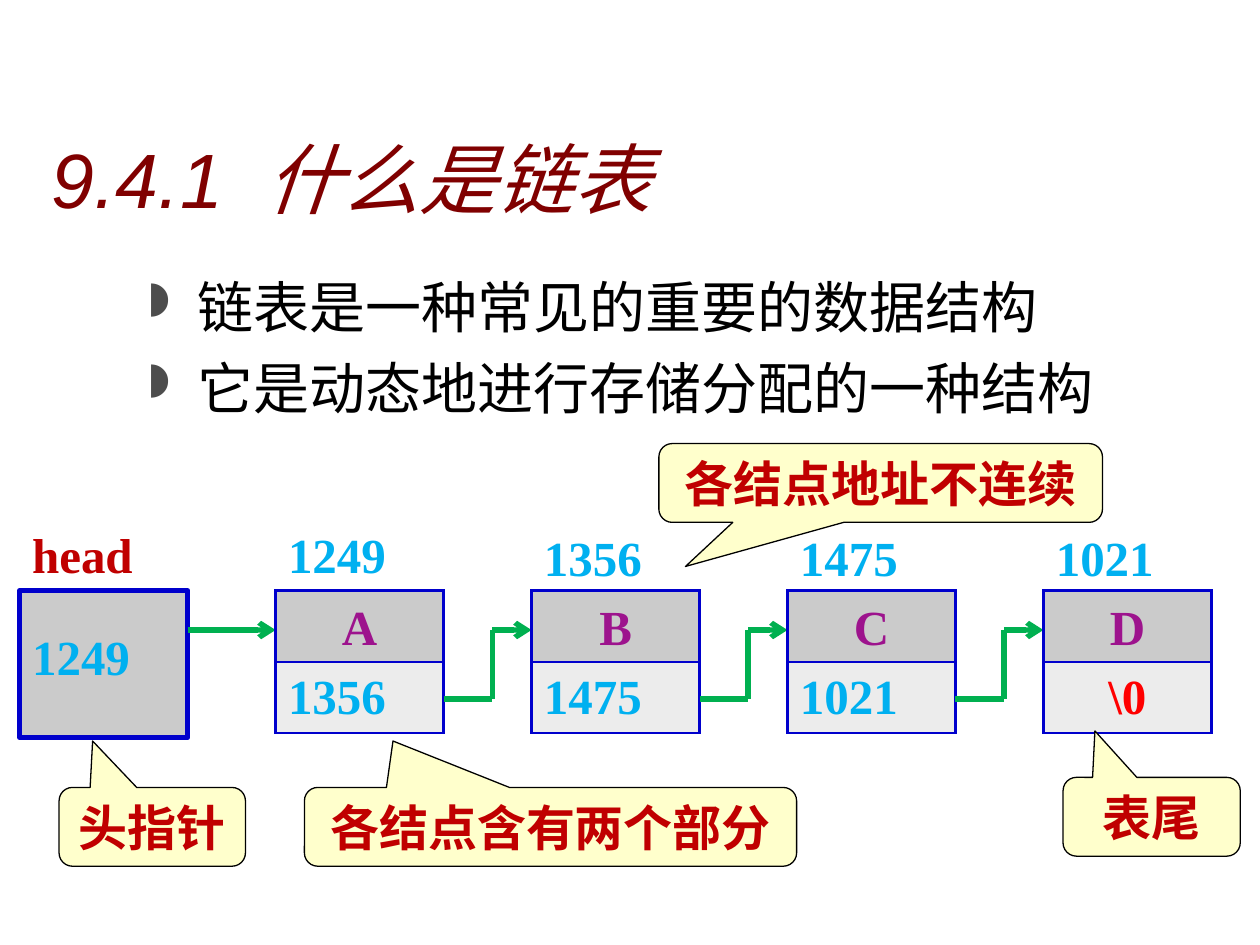
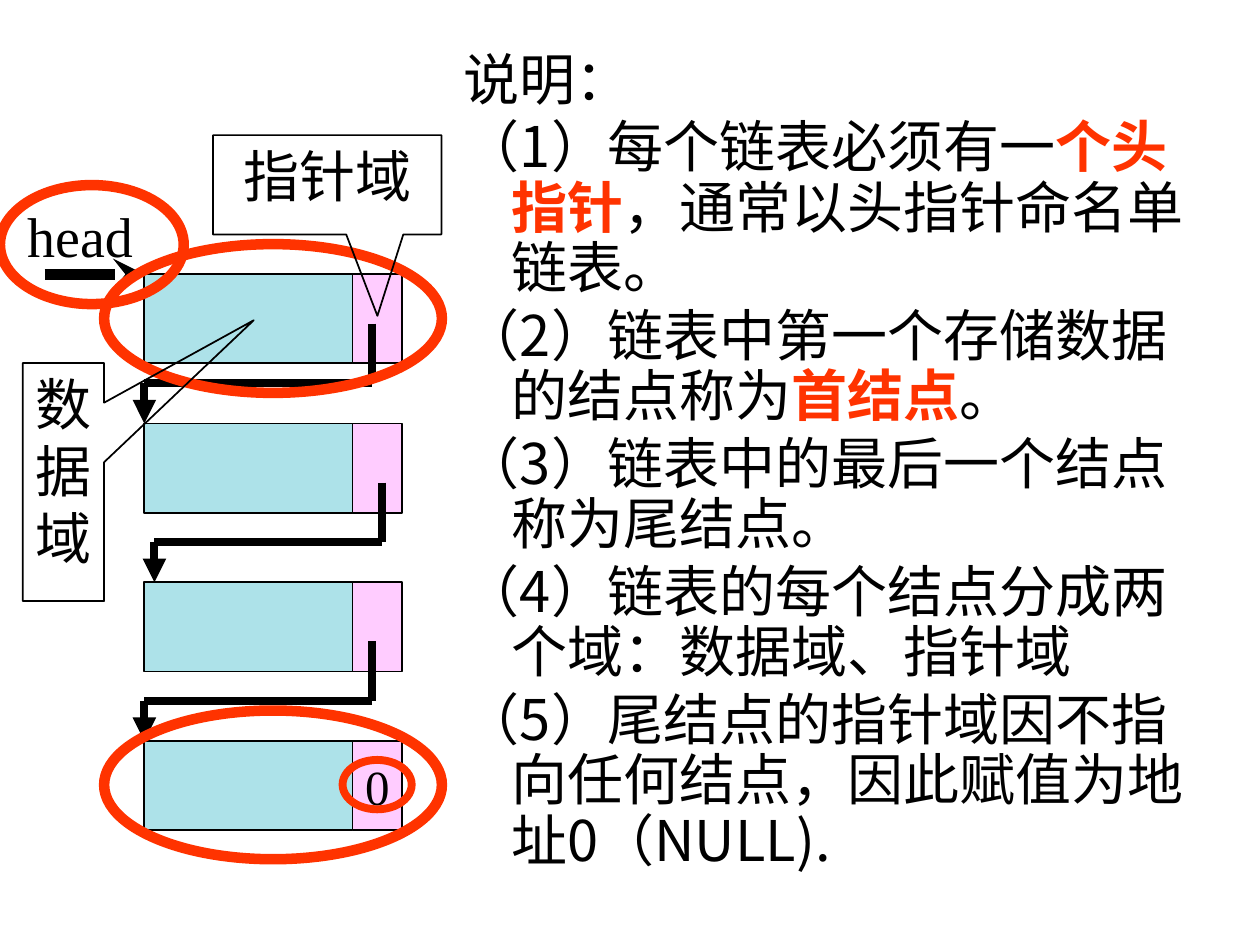
from lxml.etree import SubElement
from pptx import Presentation
from pptx.dml.color import RGBColor
from pptx.enum.shapes import MSO_CONNECTOR, MSO_SHAPE
from pptx.enum.text import MSO_ANCHOR, PP_ALIGN
from pptx.oxml.ns import qn
from pptx.util import Pt

BLACK, RED, BLUE = "000000", "C00000", "0000CC"
SKY, PLUM, GREEN = "00B0F0", "9D138D", "00B050"
ORANGE, CREAM = "FF3300", "FFFFCC"
DARK, LIGHT = "CBCBCB", "ECECEC"
AQUA, PINK = "ADE2E9", "FFCCFF"
SERIF, SANS, HAN = "Times New Roman", "Arial", "Noto Sans CJK SC"


def color(code):
    return RGBColor.from_string(code)


def add_fill(parent, code):
    solid = SubElement(parent, qn("a:solidFill"))
    SubElement(solid, qn("a:srgbClr"), val=code)


def add_mark(para, mark, code, percent):
    """Give a paragraph a bullet."""
    props = para._p.get_or_add_pPr()
    tint = SubElement(props, qn("a:buClr"))
    SubElement(tint, qn("a:srgbClr"), val=code)
    SubElement(props, qn("a:buSzPct"), val=str(percent * 1000))
    SubElement(props, qn("a:buChar"), char=mark)


def style_run(run, size=28, font=SERIF, tint=BLACK, bold=False,
              italic=False, extra=0):
    run.font.size = Pt(size)
    run.font.bold, run.font.italic = bold, italic
    run.font.color.rgb = color(tint)
    run.font.name = font
    props = run._r.get_or_add_rPr()
    SubElement(props, qn("a:ea"), typeface=HAN)
    if extra:
        props.set("spc", str(extra * 100))


def write(frame, text, align=PP_ALIGN.LEFT, anchor=MSO_ANCHOR.TOP, wrap=True,
          hang=0, before=0, spacing=None, mark=None, **style):
    """Fill a frame; text is a string or a list of paragraphs,
    a paragraph is a string or a list of (words, style) runs."""
    frame.word_wrap = wrap
    frame.vertical_anchor = anchor
    for i, parts in enumerate([text] if isinstance(text, str) else text):
        para = frame.add_paragraph() if i else frame.paragraphs[0]
        para.alignment = align
        if before:
            para.space_before = Pt(before)
        if spacing:
            para.line_spacing = spacing
        if hang:
            props = para._p.get_or_add_pPr()
            props.set("marL", str(Pt(hang)))
            props.set("indent", str(-Pt(hang)))
        if mark:
            add_mark(para, mark, "4D4D4D", 80)
        for words, own in [(parts, {})] if isinstance(parts, str) else parts:
            run = para.add_run()
            run.text = words
            style_run(run, **{**style, **own})


class Deck:
    """Holds the presentation and the current slide."""

    def __init__(self):
        self.show = Presentation()
        self.show.slide_width, self.show.slide_height = Pt(720), Pt(540)

    def new_slide(self):
        self.shapes = self.show.slides.add_slide(
            self.show.slide_layouts[6]).shapes

    def label(self, x, y, w, h, text, **format):
        box = self.shapes.add_textbox(Pt(x), Pt(y), Pt(w), Pt(h))
        write(box.text_frame, text, **format)

    def shape(self, kind, x, y, w, h, fill=None, line=BLACK, width=1,
              adjust=(), text=None, **format):
        item = self.shapes.add_shape(kind, Pt(x), Pt(y), Pt(w), Pt(h))
        item.shadow.inherit = False
        for i, value in enumerate(adjust):
            item.adjustments[i] = value
        if fill:
            item.fill.solid()
            item.fill.fore_color.rgb = color(fill)
        else:
            item.fill.background()
        item.line.color.rgb = color(line)
        item.line.width = Pt(width)
        if text:
            write(item.text_frame, text, align=PP_ALIGN.CENTER, **format)

    def route(self, points, tint, width, head):
        """Straight lines through the points, with a head on the last."""
        for start, end in zip(points, points[1:]):
            line = self.shapes.add_connector(
                MSO_CONNECTOR.STRAIGHT, *map(Pt, start + end))
            line.line.color.rgb = color(tint)
            line.line.width = Pt(width)
            props = line.element.spPr
            if end == points[-1]:
                SubElement(props.find(qn("a:ln")), qn("a:tailEnd"), type=head)
            SubElement(props, qn("a:effectLst"))

    def table(self, x, y, w, row, fills, line, width):
        grid = self.shapes.add_table(len(fills), 1, Pt(x), Pt(y), Pt(w),
                                     Pt(row * len(fills))).table
        grid.first_row = grid.horz_banding = False
        for i, fill in enumerate(fills):
            cell = grid.cell(i, 0)
            props = cell._tc.get_or_add_tcPr()
            for side in "LRTB":
                edge = SubElement(props, qn("a:ln" + side), w=str(Pt(width)))
                add_fill(edge, line)
            cell.fill.solid()
            cell.fill.fore_color.rgb = color(fill)


def list_slide(deck):
    deck.new_slide()
    deck.label(22.5, 71.5, 658, 60.5,
               [[("9.4.1", {}), (" ", {"extra": 12}), ("什么是链表", {})]],
               anchor=MSO_ANCHOR.MIDDLE, size=44, font=SANS, tint="800000",
               italic=True)
    deck.label(78.5, 152, 580, 158,
               ["链表是一种常见的重要的数据结构",
                "它是动态地进行存储分配的一种结构"],
               size=32, hang=27, before=8, mark="◗")

    # Head pointer
    left, pitch, wide, top, row = 11.25, 146.25, 96, 337.5, 40.75
    high, low = 360, 399.5
    deck.shape(MSO_SHAPE.RECTANGLE, left, top, wide, 84, DARK, BLUE, 3)
    deck.label(left, 296, wide, 41, "head", tint=RED, bold=True)
    deck.label(left, 354.5, wide, 41, "1249", tint=SKY, bold=True)
    deck.route([(left + wide, high), (left + pitch, high)], GREEN, 3, "arrow")

    # Nodes: address above, data and next address inside
    spots = ["1249", "1356", "1475", "1021"]
    for i, (name, spot) in enumerate(zip("ABCD", spots)):
        x = left + pitch * (i + 1)
        last = i == len(spots) - 1
        deck.table(x, top, wide, row, [DARK, LIGHT], BLUE, 1.5)
        deck.label(x, 298 if i else 296, wide, 41, spot, tint=SKY, bold=True)
        deck.label(x, top, wide, 41, name, align=PP_ALIGN.CENTER, tint=PLUM,
                   bold=True)
        if last:
            deck.label(x, 376.5, wide, 41, "\\0", align=PP_ALIGN.CENTER,
                       tint="FF0000", bold=True)
        else:
            deck.label(x, 376.5, wide, 41, spots[i + 1], tint=SKY, bold=True)
            bend, goal = x + pitch - 22.5, x + pitch
            deck.route([(x + wide, low), (bend, low), (bend, high),
                        (goal, high)], GREEN, 3, "arrow")

    # Callouts
    up, down = (-0.32, -1.09, 0.17), (-0.44, 1.06, 0.17)
    for x, y, w, tip, text in [
            (33.75, 450, 106.5, up, "头指针"),
            (376.5, 253.5, 253.5, down, "各结点地址不连续"),
            (174, 450, 281.25, up, "各结点含有两个部分"),
            (607.5, 444.25, 101.25, up, "表尾")]:
        deck.shape(MSO_SHAPE.ROUNDED_RECTANGULAR_CALLOUT, x, y, w, 45, CREAM,
                   width=0.75, adjust=tip, text=text, wrap=False, tint=RED,
                   bold=True)


def notes_slide(deck):
    deck.new_slide()
    strong = {"tint": ORANGE, "bold": True}
    deck.label(258, 26, 442, 493, [
        "说明：",
        [("（1）每个链表必须有一", {}), ("个头指针", strong),
         ("，通常以头指针命名单链表。", {})],
        [("（2）链表中第一个存储数据的结点称为", {}), ("首结点", strong),
         ("。", {})],
        "（3）链表中的最后一个结点称为尾结点。",
        "（4）链表的每个结点分成两个域：数据域、指针域",
        "（5）尾结点的指针域因不指向任何结点，因此赋值为地址0（NULL).",
    ], size=32, font=HAN, hang=27, before=4, spacing=0.9)

    # Nodes with a data field and a pointer field
    left, split = 82.5, 201.5
    tops = [156.5, 242, 332.75, 423.5]
    for y in tops:
        deck.shape(MSO_SHAPE.RECTANGLE, left, y, split - left, 51, AQUA)
        deck.shape(MSO_SHAPE.RECTANGLE, split, y, 28.25, 51, PINK)

    # Head and links
    deck.label(8.5, 111.5, 75, 46, "head", size=32, wrap=False)
    deck.route([(25.5, 156.75), (left, 156.75)], BLACK, 6, "stealth")
    for y, shift in zip(tops[1:], (0, 5.75, 0)):
        start, end = 212.5 + shift, left + shift
        deck.route([(start, y - 57), (start, y - 23), (end, y - 23),
                    (end, y)], BLACK, 4.5, "triangle")
    deck.label(split, 428.5, 28.25, 41, "0", wrap=False)

    # Rings and callouts
    def ring(x, y, w, h, width=6):
        deck.shape(MSO_SHAPE.OVAL, x, y, w, h, line=ORANGE, width=width)

    ring(0, 105.75, 105, 68)
    ring(59.5, 139.5, 193, 85)
    ring(59.5, 406, 193, 85)
    for x, y, w, h, tip, text in [
            (13, 207.5, 46.5, 136, (2.34, -0.68), "数据域"),
            (121.75, 77.25, 130.5, 56.75, (0.22, 1.32), "指针域")]:
        deck.shape(MSO_SHAPE.RECTANGULAR_CALLOUT, x, y, w, h, adjust=tip,
                   text=text, size=32)
    ring(195.75, 434.25, 39.5, 28.25, 4.5)


def main():
    deck = Deck()
    list_slide(deck)
    notes_slide(deck)
    deck.show.save("out.pptx")


if __name__ == "__main__":
    main()
